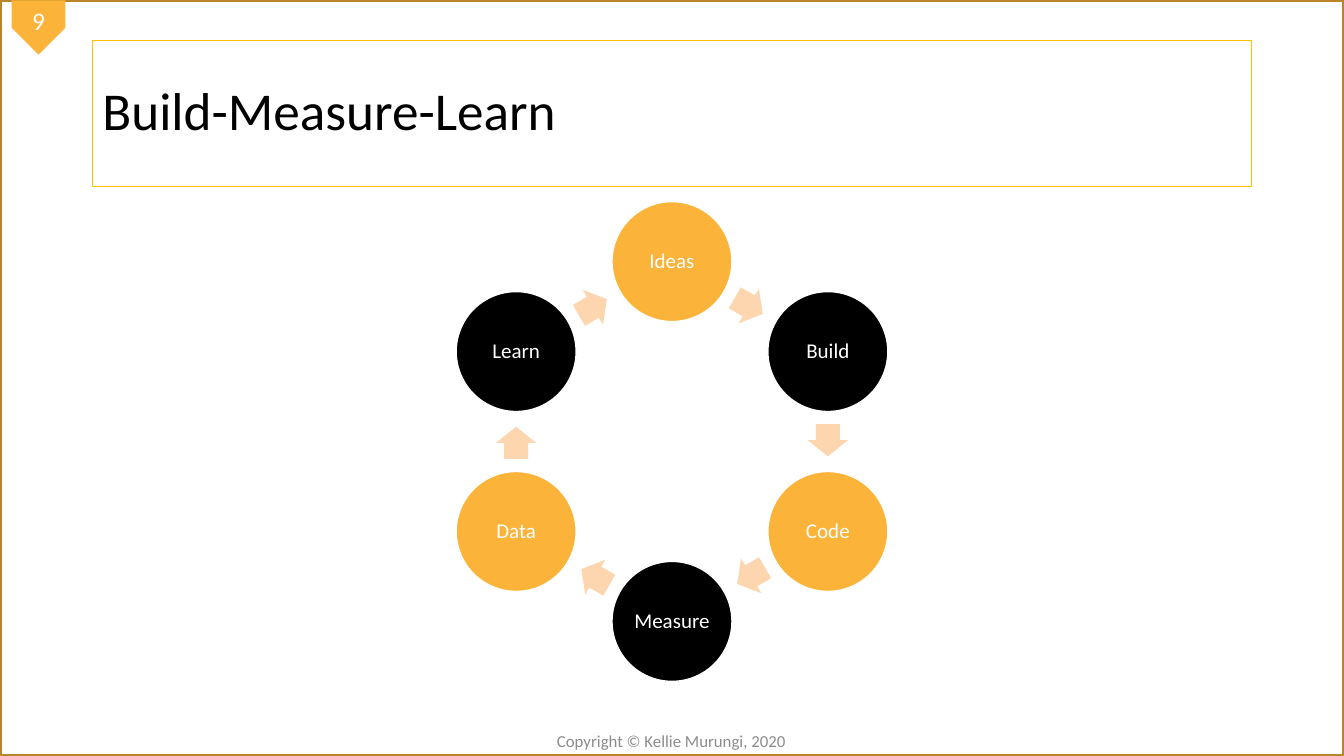
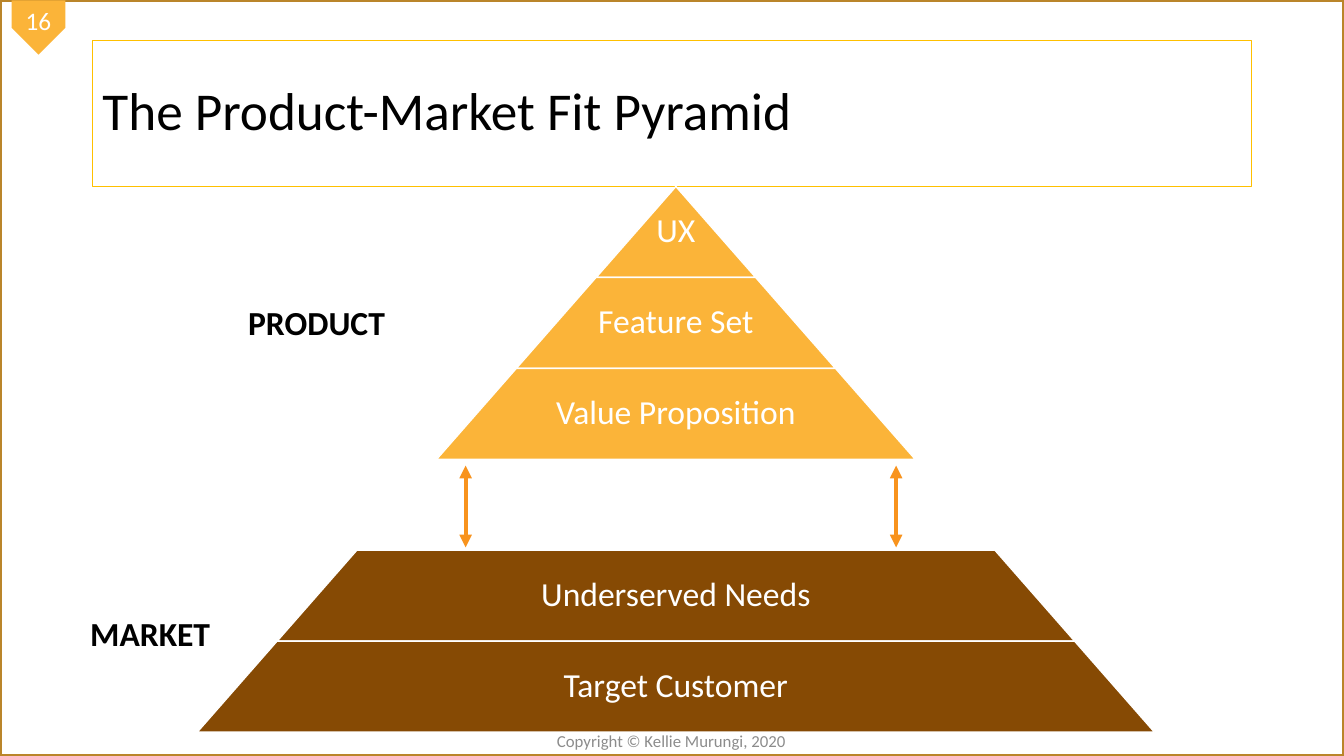
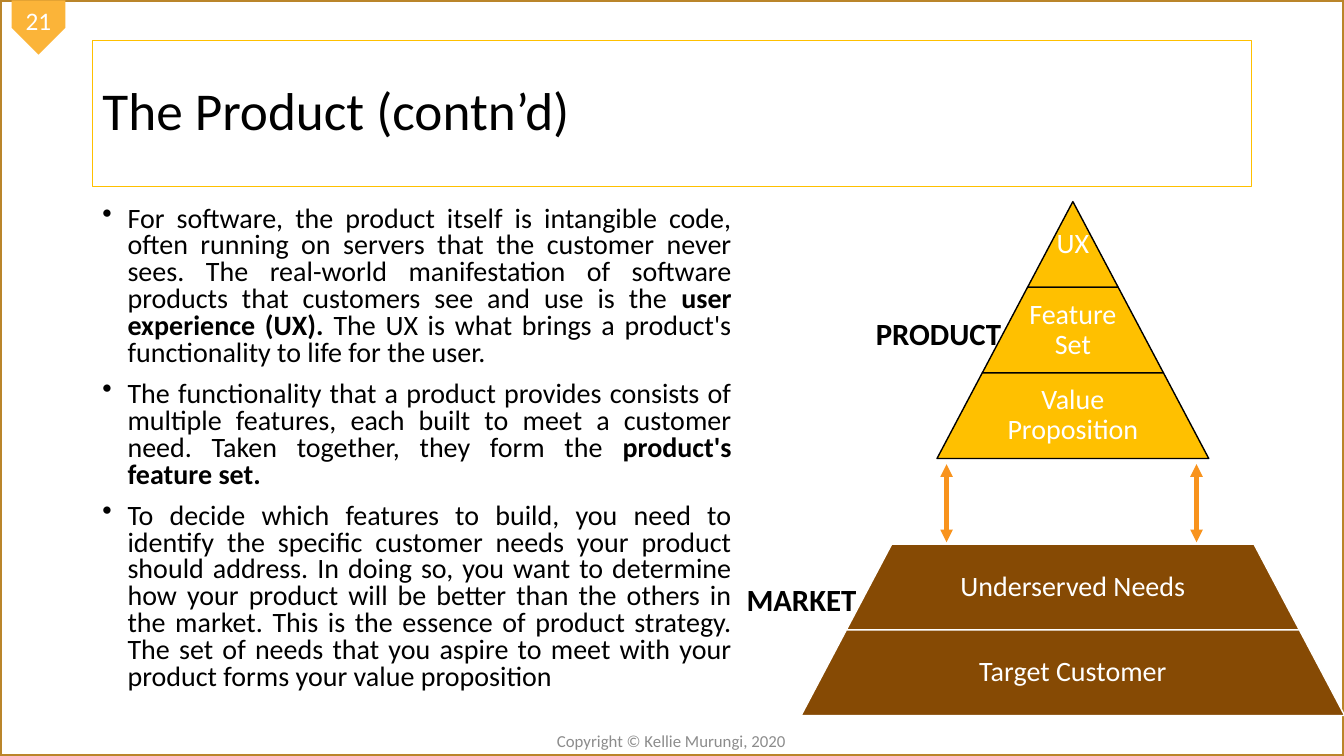
from math import cos, radians, sin

from lxml import etree
from pptx import Presentation
from pptx.dml.color import RGBColor
from pptx.enum.shapes import MSO_CONNECTOR, MSO_SHAPE
from pptx.enum.text import MSO_ANCHOR, PP_ALIGN
from pptx.oxml.ns import qn
from pptx.util import Inches, Pt

RECTANGLE = MSO_SHAPE.RECTANGLE
PENTAGON = MSO_SHAPE.PENTAGON
OVAL = MSO_SHAPE.OVAL
ARROW = MSO_SHAPE.RIGHT_ARROW
TRAPEZOID = MSO_SHAPE.TRAPEZOID
STRAIGHT = MSO_CONNECTOR.STRAIGHT
LEFT, CENTER, JUSTIFY = PP_ALIGN.LEFT, PP_ALIGN.CENTER, PP_ALIGN.JUSTIFY
TOP, MIDDLE = MSO_ANCHOR.TOP, MSO_ANCHOR.MIDDLE

FONT = "Calibri"
COLORS = {
    "white": "FFFFFF",
    "black": "000000",
    "bronze": "BA852A",
    "amber": "FBB439",
    "gold": "FFC000",
    "peach": "FDD6AF",
    "orange": "F8931D",
    "brown": "864A04",
    "gray": "8C8C8C",
}

presentation = Presentation()
presentation.slide_width = Inches(13.33)
presentation.slide_height = Inches(7.5)
COLUMN = presentation.slide_width / 100
ROW = presentation.slide_height / 100
ASPECT = ROW / COLUMN


def add_box(slide, kind, left, top, width, height, fill=None, line=None, weight=1):
    shape = slide.shapes.add_shape(
        kind, int(left * COLUMN), int(top * ROW), int(width * COLUMN), int(height * ROW)
    )
    shape.shadow.inherit = False
    if fill:
        shape.fill.solid()
        shape.fill.fore_color.rgb = RGBColor.from_string(COLORS[fill])
    else:
        shape.fill.background()
    if line:
        shape.line.color.rgb = RGBColor.from_string(COLORS[line])
        shape.line.width = Pt(weight)
    else:
        shape.line.fill.background()
    return shape


def write(shape, paragraphs, size, color, align=CENTER, anchor=MIDDLE, spacing=1.0, bold=None):
    frame = shape.text_frame
    frame.word_wrap = True
    frame.vertical_anchor = anchor
    for index, runs in enumerate(paragraphs):
        paragraph = frame.add_paragraph() if index else frame.paragraphs[0]
        paragraph.alignment = align
        paragraph.line_spacing = spacing
        paragraph.font.name = FONT
        paragraph.font.size = Pt(size)
        paragraph.font.bold = bold
        paragraph.font.color.rgb = RGBColor.from_string(COLORS[color])
        for position, text in enumerate(runs):
            run = paragraph.add_run()
            run.text = text
            if position == 1:
                run.font.bold = True
    return frame


pages = [
    ("9", "Build-Measure-Learn"),
    ("16", "The Product-Market Fit Pyramid"),
    ("21", "The Product (contn’d)"),
]
slides = []
for number, title in pages:
    slide = presentation.slides.add_slide(presentation.slide_layouts[6])
    slides.append(slide)
    add_box(slide, RECTANGLE, 0, 0, 100, 100, line="bronze", weight=2.25)
    tag = add_box(slide, PENTAGON, 0.85, 0.1, 4.03, 7.1, fill="amber")
    tag.rotation = 90
    tag_frame = write(tag, [[number]], 18, "white")
    tag_frame._txBody.bodyPr.set("vert", "vert270")
    footer = add_box(slide, RECTANGLE, 34.65, 96, 30.6, 4)
    write(footer, [["Copyright © Kellie Murungi, 2020"]], 12, "gray")
    heading = add_box(slide, RECTANGLE, 6.88, 5.33, 86.25, 19.33, line="gold", weight=0.75)
    write(heading, [[title]], 38, "black", LEFT, spacing=0.9)

cycle_slide, pyramid_slide, product_slide = slides

center_x, center_y, radius = 50, 58.4, 23.8
node_height = 15.87
node_width = node_height * ASPECT
arrow_width, arrow_height = 2.4, 5.33
steps = ["Ideas", "Build", "Code", "Measure", "Data", "Learn"]
turn = 360 / len(steps)
for index, step in enumerate(steps):
    angle = radians(index * turn)
    node = add_box(
        cycle_slide, OVAL,
        center_x + radius * ASPECT * sin(angle) - node_width / 2,
        center_y - radius * cos(angle) - node_height / 2,
        node_width, node_height,
        fill="black" if index % 2 else "amber", line="white",
    )
    frame = write(node, [[step]], 15, "white", spacing=0.9)
    frame.margin_left = frame.margin_right = Inches(0.02)
    middle = radians((index + 0.5) * turn - 0.5)
    reach = radius * cos(radians(turn / 2))
    arrow = add_box(
        cycle_slide, ARROW,
        center_x + reach * ASPECT * sin(middle) - arrow_width / 2,
        center_y - reach * cos(middle) - arrow_height / 2,
        arrow_width, arrow_height, fill="peach",
    )
    arrow.adjustments[0] = 0.6
    arrow.rotation = (index + 0.5) * turn

body = add_box(product_slide, RECTANGLE, 6.88, 26.67, 48.3, 68)
body_frame = write(body, [
    [
        "For software, the product itself is intangible code, often running on servers that the "
        "customer never sees. The real-world manifestation of software products that customers "
        "see and use is the ",
        "user experience (UX). ",
        "The UX is what brings a product's functionality to life for the user.",
    ],
    [
        "The functionality that a product provides consists of multiple features, each built to "
        "meet a customer need. Taken together, they form the ",
        "product's feature set.",
    ],
    [
        "To decide which features to build, you need to identify the specific customer needs your "
        "product should address. In doing so, you want to determine how your product will be "
        "better than the others in the market. This is the essence of product strategy. The set "
        "of needs that you aspire to meet with your product forms your value proposition",
    ],
], 20, "black", JUSTIFY, TOP, 0.8)
for paragraph in body_frame.paragraphs:
    paragraph.space_before = Pt(10)
    properties = paragraph._p.get_or_add_pPr()
    properties.set("marL", str(Inches(0.25)))
    properties.set("indent", str(-Inches(0.25)))
    bullet = etree.Element(qn("a:buChar"), char="•")
    properties.find(qn("a:defRPr")).addprevious(bullet)

levels = [
    (0, "UX"),
    (1, "Feature Set"),
    (2, "Value Proposition"),
    (4, "Underserved Needs"),
    (5, "Target Customer"),
]
pyramids = [
    {
        "slide": pyramid_slide, "apex": 50.29, "top": 24.67, "step": 11.87, "height": 12.03,
        "fill": "amber", "line": "white", "size": 24,
        "labels": [("PRODUCT", 12.38, 39.33), ("MARKET", 0, 80.4)],
        "label_width": 22.35, "label_height": 6.67, "label_size": 24,
        "arrows": [34.65, 66.68], "arrow_span": (61.6, 72.4),
    },
    {
        "slide": product_slide, "apex": 79.83, "top": 26.67, "step": 6.74, "height": 11.33,
        "fill": "gold", "line": "black", "size": 20,
        "labels": [("PRODUCT", 61.88, 40.93), ("MARKET", 51.68, 76.13)],
        "label_width": 15.9, "label_height": 6.27, "label_size": 22,
        "arrows": [70.43, 89.03], "arrow_span": (61.4, 71.73),
    },
]
for pyramid in pyramids:
    slide, height = pyramid["slide"], pyramid["height"]
    for level, text in levels:
        width = pyramid["step"] * (level + 1)
        product = level < 3
        layer = add_box(
            slide, TRAPEZOID, pyramid["apex"] - width / 2, pyramid["top"] + height * level,
            width, height,
            fill=pyramid["fill"] if product else "brown",
            line=pyramid["line"] if product else "white",
        )
        layer.adjustments[0] = pyramid["step"] / 2 / (height * ASPECT)
        frame = write(layer, [[text]], pyramid["size"], "white", spacing=0.9)
        frame.word_wrap = level > 0
        built_in = 1 / (3 * (level + 1))
        side = max(0, 0.18 - built_in) * width
        frame.margin_left = frame.margin_right = int(side * COLUMN)
        frame.margin_top = 0
        frame.margin_bottom = int(built_in * height * ROW)

    for text, left, top in pyramid["labels"]:
        label = add_box(
            slide, RECTANGLE, left, top, pyramid["label_width"], pyramid["label_height"]
        )
        write(label, [[text]], pyramid["label_size"], "black", anchor=TOP, bold=True)

    start, end = pyramid["arrow_span"]
    for position in pyramid["arrows"]:
        x = int(position * COLUMN)
        connector = slide.shapes.add_connector(STRAIGHT, x, int(start * ROW), x, int(end * ROW))
        connector.line.color.rgb = RGBColor.from_string(COLORS["orange"])
        connector.line.width = Pt(3)
        outline = connector.line._get_or_add_ln()
        for tip in ("a:headEnd", "a:tailEnd"):
            etree.SubElement(outline, qn(tip), type="triangle")
        etree.SubElement(outline.getparent(), qn("a:effectLst"))

presentation.save("out.pptx")
